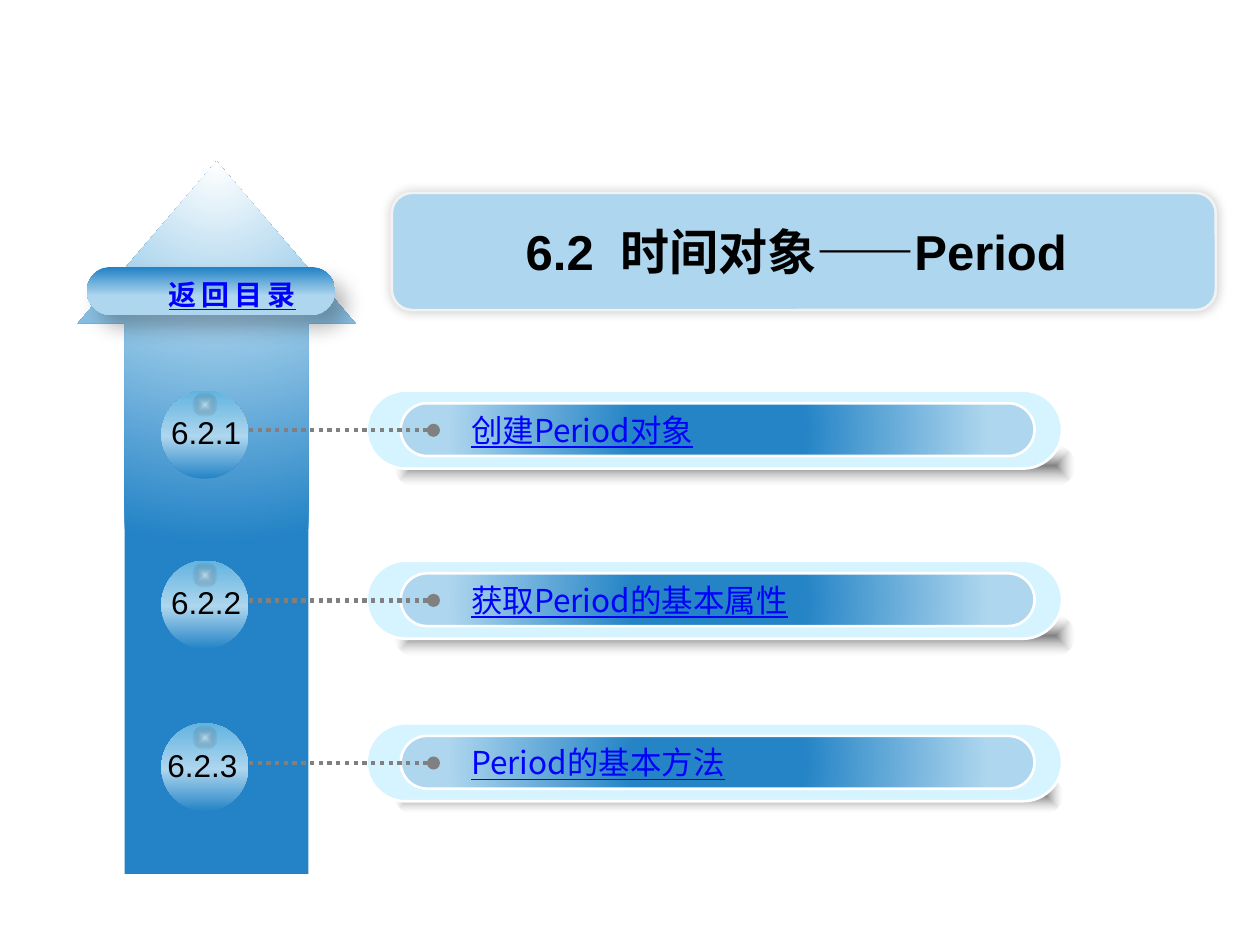
from lxml.etree import SubElement
from pptx import Presentation
from pptx.dml.color import RGBColor
from pptx.enum.dml import MSO_LINE
from pptx.enum.shapes import MSO_CONNECTOR, MSO_SHAPE
from pptx.enum.text import MSO_ANCHOR, MSO_AUTO_SIZE, PP_ALIGN
from pptx.oxml.ns import qn
from pptx.util import Pt

BLACK = RGBColor(0x00, 0x00, 0x00)
WHITE = RGBColor(0xFF, 0xFF, 0xFF)
DEEP_BLUE = RGBColor(0x23, 0x83, 0xC6)
BAR_BLUE = RGBColor(0x24, 0x84, 0xC6)
SKY = RGBColor(0x62, 0xB3, 0xE0)
LIGHT_BLUE = RGBColor(0xAE, 0xD6, 0xEE)
PALE_BLUE = RGBColor(0xD5, 0xF4, 0xFF)
LINK_BLUE = RGBColor(0x00, 0x00, 0xFF)
EDGE = RGBColor(0xF2, 0xF2, 0xF2)
DOT_GREY = RGBColor(0x80, 0x80, 0x80)
SHADE_GREY = RGBColor(0xB0, 0xB0, 0xB0)

LATIN = "Arial"
CHINESE = "Noto Sans CJK SC"
CENTER = (50, 50, 50, 50)
HEADING = {"size": Pt(28), "bold": True, "name": LATIN}
NUMBER = {"size": Pt(18), "name": LATIN}
LINK = {"size": Pt(18), "underline": True, "name": CHINESE}
BACK_LINK = {"size": Pt(16), "bold": True, "underline": True, "name": CHINESE}

BAR_FADE = {"stops": [(27, BAR_BLUE), (85, LIGHT_BLUE)], "path": "circle"}
BALL_FADE = {"stops": [(0, BAR_BLUE), (48, LIGHT_BLUE), (100, SKY)], "angle": 270}
SHADE_FADE = {"stops": [(0, BLACK, 50), (100, SHADE_GREY, 0)], "path": "shape"}
GLINT_FADE = {"stops": [(0, WHITE, 50), (100, BLACK, 0)], "path": "shape"}
ARROW_FADE = {"stops": [(0, WHITE), (35, LIGHT_BLUE), (100, DEEP_BLUE)],
              "path": "circle", "focus": (50, -80, 50, 180)}
BUTTON_FADE = {"stops": [(1, DEEP_BLUE), (60, LIGHT_BLUE)], "angle": 90}

SECTIONS = [
    {"number": "6.2.1", "topic": "创建Period对象", "top": 223.2,
     "number_left": 90.7, "shade": (31.7, 388.8, 22.3)},
    {"number": "6.2.2", "topic": "获取Period的基本属性", "top": 320.4,
     "number_left": 90.7, "shade": (31.7, 388.8, 22.3)},
    {"number": "6.2.3", "topic": "Period的基本方法", "top": 413.3,
     "number_left": 88.6, "shade": (31, 381.6, 20.2)},
]


def apply_format(target, values):
    for attribute, value in values.items():
        setattr(target, attribute, value)


def add_color(parent, color, opacity=100):
    tint = SubElement(parent, qn("a:srgbClr"), val=str(color))
    if opacity < 100:
        SubElement(tint, qn("a:alpha"), val=str(opacity * 1000))


def set_gradient(shape, stops, path=None, focus=CENTER, angle=0):
    shape.fill.gradient()
    gradient = shape.element.spPr.find(qn("a:gradFill"))
    for child in list(gradient):
        gradient.remove(child)
    stop_list = SubElement(gradient, qn("a:gsLst"))
    for position, *tint in stops:
        stop = SubElement(stop_list, qn("a:gs"), pos=str(position * 1000))
        add_color(stop, *tint)
    if path:
        shading = SubElement(gradient, qn("a:path"), path=path)
        sides = {side: str(share * 1000) for side, share in zip("ltrb", focus)}
        SubElement(shading, qn("a:fillToRect"), **sides)
    else:
        SubElement(gradient, qn("a:lin"), ang=str(angle * 60000), scaled="0")


def set_shadow(shape, opacity, blur, distance, direction):
    effects = shape.element.spPr.find(qn("a:effectLst"))
    shadow = SubElement(effects, qn("a:outerShdw"), blurRad=str(Pt(blur)),
                        dist=str(Pt(distance)), dir=str(direction * 60000),
                        algn="ctr", rotWithShape="0")
    add_color(shadow, BLACK, opacity)


def add_form(shapes, preset, box, paint, edge=None, adjustments=()):
    form = shapes.add_shape(preset, *map(Pt, box))
    form.shadow.inherit = False
    for index, value in enumerate(adjustments):
        form.adjustments[index] = value
    if isinstance(paint, dict):
        set_gradient(form, **paint)
    else:
        form.fill.solid()
        form.fill.fore_color.rgb = paint
    if edge is None:
        form.line.fill.background()
    else:
        form.line.color.rgb = edge
        form.line.width = Pt(1.5)
    return form


def add_pill(shapes, box, paint, edge=None):
    return add_form(shapes, MSO_SHAPE.ROUNDED_RECTANGLE, box, paint, edge, [0.5])


def add_dotted_lead(shapes, start, end, y):
    lead = shapes.add_connector(MSO_CONNECTOR.STRAIGHT, Pt(start), Pt(y), Pt(end), Pt(y))
    lead.line.color.rgb = DOT_GREY
    apply_format(lead.line, {"width": Pt(2.5), "dash_style": MSO_LINE.ROUND_DOT})
    SubElement(lead.line._get_or_add_ln(), qn("a:headEnd"), type="oval")
    SubElement(lead.element.spPr, qn("a:effectLst"))


def write_text(holder, text, style, color, align=PP_ALIGN.LEFT, wrap=True, spacing=0):
    frame = holder.text_frame
    apply_format(frame, {"word_wrap": wrap, "vertical_anchor": MSO_ANCHOR.TOP,
                         "auto_size": MSO_AUTO_SIZE.SHAPE_TO_FIT_TEXT})
    paragraph = frame.paragraphs[0]
    paragraph.alignment = align
    run = paragraph.add_run()
    run.text = text
    apply_format(run.font, style)
    run.font.color.rgb = color
    properties = run.font._element
    SubElement(properties, qn("a:ea"), typeface=CHINESE)
    if spacing:
        properties.set("spc", str(spacing * 100))


def add_label(slide, box, *text_format, **options):
    write_text(slide.shapes.add_textbox(*map(Pt, box)), *text_format, **options)


def add_heading(slide):
    panel = add_form(slide.shapes, MSO_SHAPE.ROUNDED_RECTANGLE,
                     (223.9, 110.2, 470.9, 67), LIGHT_BLUE, EDGE, [0.174])
    set_shadow(panel, 20, 6, 0, 225)
    title = slide.shapes.title
    panel.element.addnext(title.element)
    apply_format(title, {"left": Pt(223.9), "top": Pt(123.1),
                         "width": Pt(462.2), "height": Pt(41)})
    write_text(title, "6.2  时间对象——Period", HEADING, BLACK, PP_ALIGN.CENTER)


def add_section(slide, number, topic, top, number_left, shade):
    shade_offset, shade_width, shade_height = shade
    parts = slide.shapes.add_group_shape().shapes
    add_pill(parts, (225.4, top + shade_offset, shade_width, shade_height), SHADE_FADE)
    add_pill(parts, (209.5, top, 397.4, 44.6), PALE_BLUE, WHITE)
    add_pill(parts, (229, top + 7.2, 362.2, 30.2), BAR_FADE, WHITE)
    add_dotted_lead(parts, 247.7, 129.6, top + 22.7)
    add_form(parts, MSO_SHAPE.OVAL, (92.2, top, 49.7, 50.4), BALL_FADE)
    add_form(parts, MSO_SHAPE.OVAL, (110.2, top + 1.4, 13.7, 13.7), GLINT_FADE)
    add_label(slide, (number_left, top + 9.4, 62.6, 28.8), number, NUMBER, BLACK)
    add_label(slide, (262.1, top + 7.9, 315.4, 28.8), topic, LINK, LINK_BLUE)


def add_back_button(slide):
    button = add_pill(slide.shapes, (49.7, 152.6, 141.8, 27.4), BUTTON_FADE)
    set_shadow(button, 28, 11.8, 10, 48)
    add_label(slide, (87.1, 154.8, 91.4, 26.6), "返回目录", BACK_LINK, LINK_BLUE,
              align=PP_ALIGN.CENTER, wrap=False, spacing=3)


def main():
    deck = Presentation()
    apply_format(deck, {"slide_width": Pt(720), "slide_height": Pt(540)})
    slide = deck.slides.add_slide(deck.slide_layouts[5])
    add_form(slide.shapes, MSO_SHAPE.UP_ARROW, (44.6, 92.2, 158.4, 407.5),
             ARROW_FADE, adjustments=[0.663, 0.584])
    add_heading(slide)
    for section in SECTIONS:
        add_section(slide, **section)
    add_back_button(slide)
    deck.save("out.pptx")


if __name__ == "__main__":
    main()
